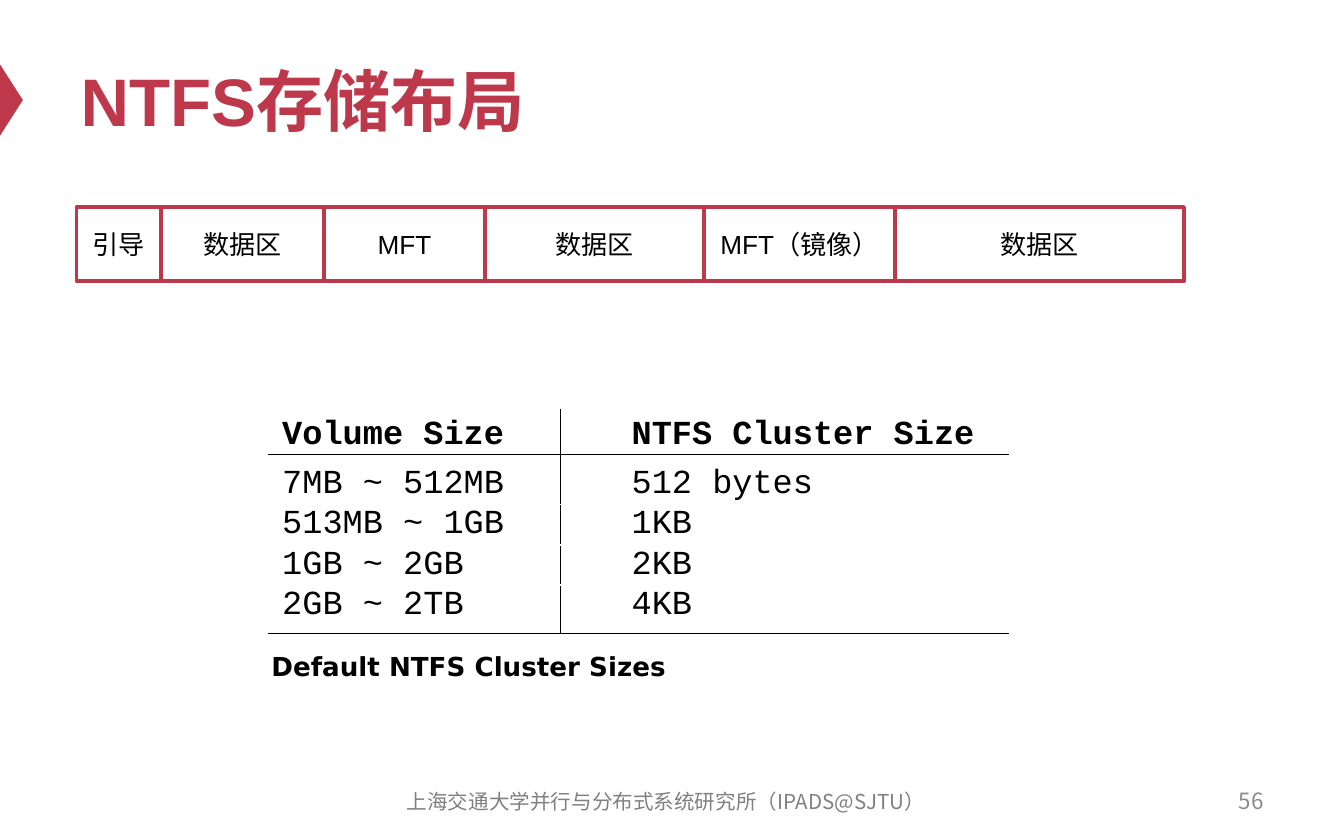
"""Build the NTFS storage layout slide."""
import pptx
import pptx.dml.color
import pptx.enum.shapes
import pptx.enum.text
import pptx.oxml
import pptx.oxml.ns
import pptx.util

Inches = pptx.util.Inches
Pt = pptx.util.Pt
RGBColor = pptx.dml.color.RGBColor
MSO_SHAPE = pptx.enum.shapes.MSO_SHAPE
PP_ALIGN = pptx.enum.text.PP_ALIGN
MSO_ANCHOR = pptx.enum.text.MSO_ANCHOR

RED = RGBColor(0xBE, 0x38, 0x4B)
BLACK = RGBColor(0, 0, 0)
WHITE = RGBColor(255, 255, 255)
GRAY = RGBColor(0x80, 0x80, 0x80)
LIGHT_GRAY = RGBColor(0x8C, 0x8C, 0x8C)


def add_run(tf, text, size, font, color, bold=False, align=PP_ALIGN.LEFT):
    p = tf.paragraphs[0]
    p.alignment = align
    r = p.add_run()
    r.text = text
    r.font.size = Pt(size)
    r.font.name = font
    r.font.bold = bold
    r.font.color.rgb = color


def add_borders(cell, sides):
    tcPr = cell._tc.get_or_add_tcPr()
    for i, side in enumerate(sides):
        ln = pptx.oxml.parse_xml(
            f'<a:ln{side} {pptx.oxml.ns.nsdecls("a")} w="9525"><a:solidFill>'
            f'<a:srgbClr val="{BLACK}"/></a:solidFill></a:ln{side}>')
        tcPr.insert(i, ln)


prs = pptx.Presentation()
prs.slide_width = Inches(10)
prs.slide_height = Inches(6.25)
s = prs.slides.add_slide(prs.slide_layouts[5])

sp = s.shapes.add_shape(MSO_SHAPE.ISOSCELES_TRIANGLE, Inches(-0.18), Inches(0.66),
                        Inches(0.53), Inches(0.17))
sp.rotation = 90
sp.shadow.inherit = False
sp.fill.solid()
sp.fill.fore_color.rgb = RED
sp.line.fill.background()

title = s.shapes.title
title.left, title.top = Inches(0.5), Inches(0.25)
title.width, title.height = Inches(9), Inches(0.98)
title.text_frame.vertical_anchor = MSO_ANCHOR.MIDDLE
add_run(title.text_frame, "NTFS存储布局", 36, "Arial", RED, bold=True)

regions = ["引导", "数据区", "MFT", "数据区", "MFT（镜像）", "数据区"]
edges = [0.57, 1.2, 2.41, 3.61, 5.24, 6.66, 8.81]
for name, left, right in zip(regions, edges, edges[1:]):
    sp = s.shapes.add_shape(MSO_SHAPE.RECTANGLE, Inches(left), Inches(1.54),
                            Inches(right - left), Inches(0.55))
    sp.shadow.inherit = False
    sp.fill.solid()
    sp.fill.fore_color.rgb = WHITE
    sp.line.color.rgb = RED
    sp.line.width = Pt(2)
    sp.text_frame.vertical_anchor = MSO_ANCHOR.MIDDLE
    add_run(sp.text_frame, name, 14, "Arial", BLACK, align=PP_ALIGN.CENTER)

rows = [
    ("Volume Size", "NTFS Cluster Size"),
    ("7MB ~ 512MB", "512 bytes"),
    ("513MB ~ 1GB", "1KB"),
    ("1GB ~ 2GB", "2KB"),
    ("2GB ~ 2TB", "4KB"),
]
heights = [0.33, 0.37, 0.3, 0.3, 0.36]
top_margins = [0.05, 0.08, 0.01, 0.01, 0.01]
left_margins = [0.1, 0.53]
table = s.shapes.add_table(len(rows), 2, Inches(2), Inches(3.05),
                           Inches(5.5), Inches(sum(heights))).table
table.first_row = False
table.horz_banding = False
table.columns[0].width = Inches(2.17)
table.columns[1].width = Inches(3.33)
for i, row in enumerate(rows):
    table.rows[i].height = Inches(heights[i])
    for j, text in enumerate(row):
        cell = table.cell(i, j)
        cell.fill.background()
        cell.margin_left = Inches(left_margins[j])
        cell.margin_top = Inches(top_margins[i])
        cell.margin_right = cell.margin_bottom = 0
        cell.vertical_anchor = MSO_ANCHOR.TOP
        sides = ["R" if j == 0 else "L"]
        if i == 1:
            sides.append("T")
        if i in (0, len(rows) - 1):
            sides.append("B")
        add_borders(cell, sides)
        add_run(cell.text_frame, text, 18, "Courier New", BLACK, bold=i == 0)

labels = [
    ("Default NTFS Cluster Sizes", 1.92, 4.79, 5.08, 0.34, 14, "DejaVu Sans",
     BLACK, True, PP_ALIGN.LEFT, MSO_ANCHOR.TOP),
    ("上海交通大学并行与分布式系统研究所（IPADS@SJTU）", 2.79, 5.8, 4.33, 0.33, 11,
     "Noto Sans CJK SC", GRAY, False, PP_ALIGN.CENTER, MSO_ANCHOR.MIDDLE),
    ("56", 7.17, 5.79, 2.33, 0.33, 12, "Noto Sans CJK SC",
     LIGHT_GRAY, False, PP_ALIGN.RIGHT, MSO_ANCHOR.MIDDLE),
]
for text, left, top, width, height, size, font, color, bold, align, anchor in labels:
    tf = s.shapes.add_textbox(Inches(left), Inches(top),
                              Inches(width), Inches(height)).text_frame
    tf.word_wrap = True
    tf.vertical_anchor = anchor
    add_run(tf, text, size, font, color, bold, align)

prs.save("out.pptx")
